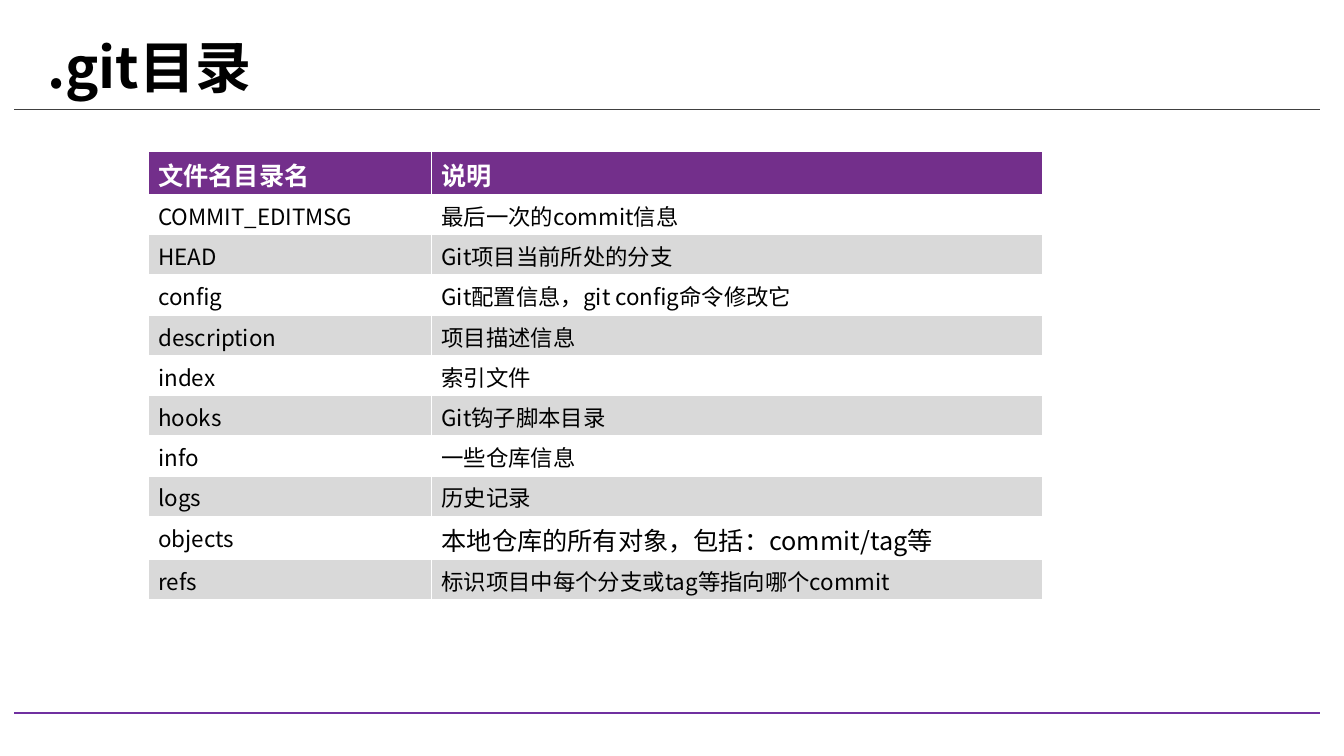
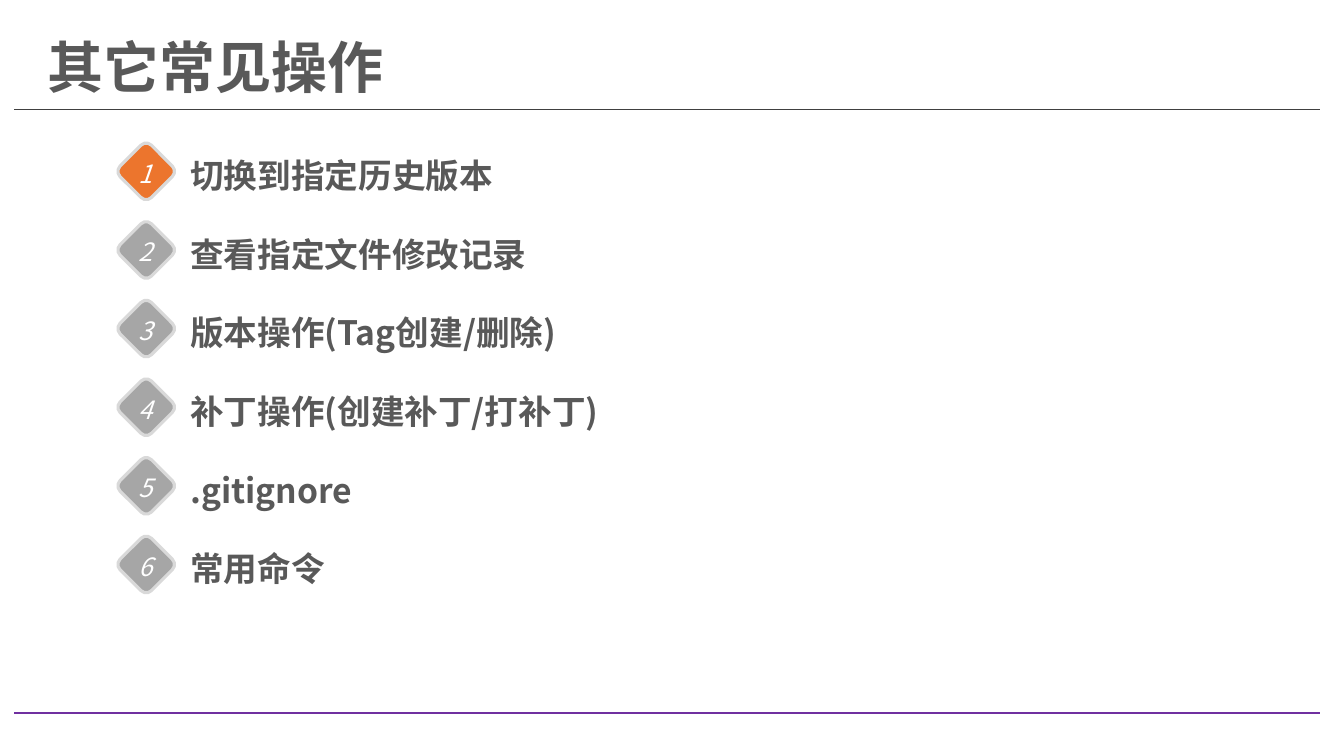
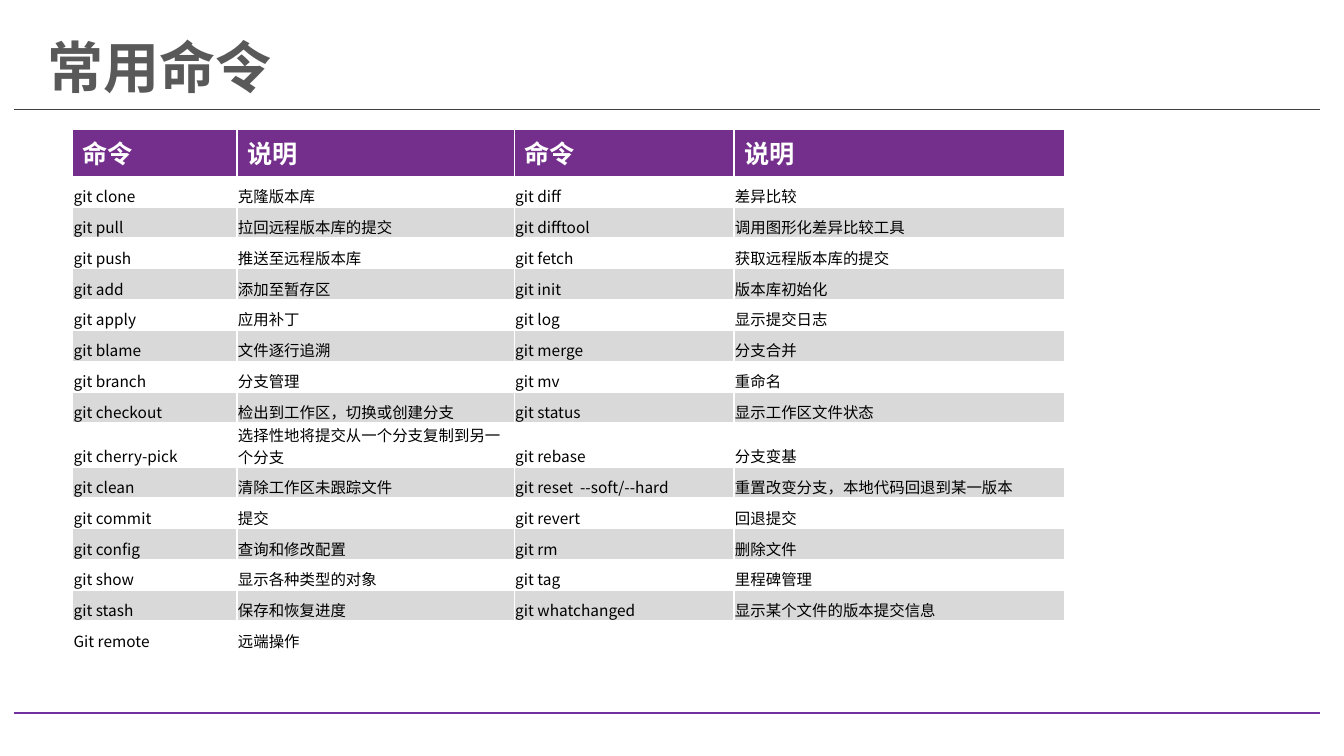
from lxml.etree import SubElement
from pptx import Presentation
from pptx.dml.color import RGBColor
from pptx.enum.shapes import MSO_CONNECTOR, MSO_SHAPE
from pptx.enum.text import MSO_ANCHOR, PP_ALIGN
from pptx.oxml.ns import qn
from pptx.util import Inches, Pt

FACE = "Noto Sans CJK SC"
HUES = {
    "black": "000000", "white": "FFFFFF", "text": "595959", "rule": "404040",
    "line": "7030A0", "head": "732F8B", "band": "D9D9D9", "edge": "D9D9D9",
    "idle": "A6A6A6", "live": "EC752D",
}
FILES = [
    ("文件名目录名", "说明"),
    ("COMMIT_EDITMSG", "最后一次的commit信息"),
    ("HEAD", "Git项目当前所处的分支"),
    ("config", "Git配置信息，git config命令修改它"),
    ("description", "项目描述信息"),
    ("index", "索引文件"),
    ("hooks", "Git钩子脚本目录"),
    ("info", "一些仓库信息"),
    ("logs", "历史记录"),
    ("objects", "本地仓库的所有对象，包括：commit/tag等"),
    ("refs", "标识项目中每个分支或tag等指向哪个commit"),
]
TOPICS = [
    "切换到指定历史版本", "查看指定文件修改记录", "版本操作(Tag创建/删除)",
    "补丁操作(创建补丁/打补丁)", ".gitignore", "常用命令",
]
CALLS = [
    ("命令", "说明", "命令", "说明"),
    ("git clone", "克隆版本库", "git diff", "差异比较"),
    ("git pull", "拉回远程版本库的提交", "git difftool", "调用图形化差异比较工具"),
    ("git push", "推送至远程版本库", "git fetch", "获取远程版本库的提交"),
    ("git add", "添加至暂存区", "git init", "版本库初始化"),
    ("git apply", "应用补丁", "git log", "显示提交日志"),
    ("git blame", "文件逐行追溯", "git merge", "分支合并"),
    ("git branch", "分支管理", "git mv", "重命名"),
    ("git checkout", "检出到工作区，切换或创建分支", "git status", "显示工作区文件状态"),
    ("git cherry-pick", "选择性地将提交从一个分支复制到另一个分支", "git rebase", "分支变基"),
    ("git clean", "清除工作区未跟踪文件", "git reset  --soft/--hard", "重置改变分支，本地代码回退到某一版本"),
    ("git commit", "提交", "git revert", "回退提交"),
    ("git config", "查询和修改配置", "git rm", "删除文件"),
    ("git show", "显示各种类型的对象", "git tag", "里程碑管理"),
    ("git stash", "保存和恢复进度", "git whatchanged", "显示某个文件的版本提交信息"),
    ("Git remote", "远端操作", "", ""),
]


def color(name):
    """Return the named colour."""
    return RGBColor.from_string(HUES[name])


def paint(shape, name):
    """Fill a shape or cell with a named colour."""
    shape.fill.solid()
    shape.fill.fore_color.rgb = color(name)


def style(para, size, hue, bold=False, italic=False):
    """Set the font of a paragraph for Latin and Chinese text."""
    font = para.font
    font.name, font.size, font.bold, font.italic = FACE, Pt(size), bold, italic
    font.color.rgb = color(hue)
    props = para._p.pPr.find(qn("a:defRPr"))
    if props.find(qn("a:ea")) is None:
        SubElement(props, qn("a:ea")).set("typeface", FACE)


def label(shapes, box, text, size, hue, wrap=True, **look):
    """Add a text box and return its frame."""
    frame = shapes.add_textbox(*map(Inches, box)).text_frame
    frame.word_wrap = wrap
    frame.text = text
    style(frame.paragraphs[0], size, hue, **look)
    return frame


def rule(slide, top, hue, width):
    """Draw a line across the slide."""
    line = slide.shapes.add_connector(
        MSO_CONNECTOR.STRAIGHT, Inches(0.14), Inches(top), Inches(13.09), Inches(top))
    line.line.color.rgb = color(hue)
    line.line.width = Pt(width)
    SubElement(line._element.spPr, qn("a:effectLst"))


def page(deck, title, hue="text"):
    """Add a slide with its title and both lines."""
    slide = deck.slides.add_slide(deck.slide_layouts[6])
    rule(slide, 1.09, "rule", 0.75)
    rule(slide, 7.07, "line", 1.5)
    frame = label(slide.shapes, (0.37, 0.36, 11.28, 0.67), title, 40, hue, bold=True)
    frame.vertical_anchor = MSO_ANCHOR.MIDDLE
    frame.paragraphs[0].line_spacing = 0.9
    return slide


def grid(slide, box, cols, rows, tall, size, tight=False):
    """Add a banded table; tall maps row numbers to special heights."""
    table = slide.shapes.add_table(len(rows), len(cols), *map(Inches, box)).table
    table.horz_banding = False
    for col, width in zip(table.columns, cols):
        col.width = Inches(width)
    even = (box[3] - sum(tall.values())) / (len(rows) - len(tall))
    for r, texts in enumerate(rows):
        table.rows[r].height = Inches(tall.get(r, even))
        for c, text in enumerate(texts):
            cell = table.cell(r, c)
            cell.text = text
            para = cell.text_frame.paragraphs[0]
            if r == 0:
                paint(cell, "head")
                style(para, 18, "white", bold=True)
                continue
            paint(cell, "white" if r % 2 else "band")
            style(para, size, "black")
            if tight:
                cell.margin_left = cell.margin_right = cell.margin_top = Inches(0.01)
                cell.margin_bottom = 0
                cell.vertical_anchor = MSO_ANCHOR.BOTTOM
    return table


def topic(slide, left, top, num, text, hue):
    """Add a numbered diamond with its heading."""
    shapes = slide.shapes.add_group_shape().shapes
    label(shapes, (left + 0.56, top + 0.01, 5, 0.5), text, 24, "text", bold=True)
    mark = shapes.add_shape(
        MSO_SHAPE.ROUNDED_RECTANGLE, *map(Inches, (left, top, 0.44, 0.44)))
    mark.rotation = 45
    mark.shadow.inherit = False
    paint(mark, hue)
    mark.line.color.rgb = color("edge")
    mark.line.width = Pt(2.25)
    frame = label(shapes, (left + 0.01, top + 0.04, 0.4, 0.4), str(num), 18, "white",
                  wrap=False, italic=True)
    frame.paragraphs[0].alignment = PP_ALIGN.CENTER


def main():
    """Build and save the deck."""
    deck = Presentation()
    deck.slide_width, deck.slide_height = Inches(13.33), Inches(7.5)

    slide = page(deck, ".git目录", "black")
    table = grid(slide, (1.47, 1.5, 8.87, 4.45), (2.81, 6.06), FILES,
                 {0: 0.43, 9: 0.43}, 16)
    style(table.cell(9, 1).text_frame.paragraphs[0], 18, "black")

    slide = page(deck, "其它常见操作")
    for i, text in enumerate(TOPICS):
        topic(slide, 1.23, 1.48 + 0.78 * i, i + 1, text, "idle" if i else "live")

    slide = page(deck, "常用命令")
    grid(slide, (0.72, 1.28, 9.84, 5.19), (1.63, 2.75, 2.18, 3.28), CALLS,
         {0: 0.47, 9: 0.44}, 11, tight=True)

    deck.save("out.pptx")


if __name__ == "__main__":
    main()
